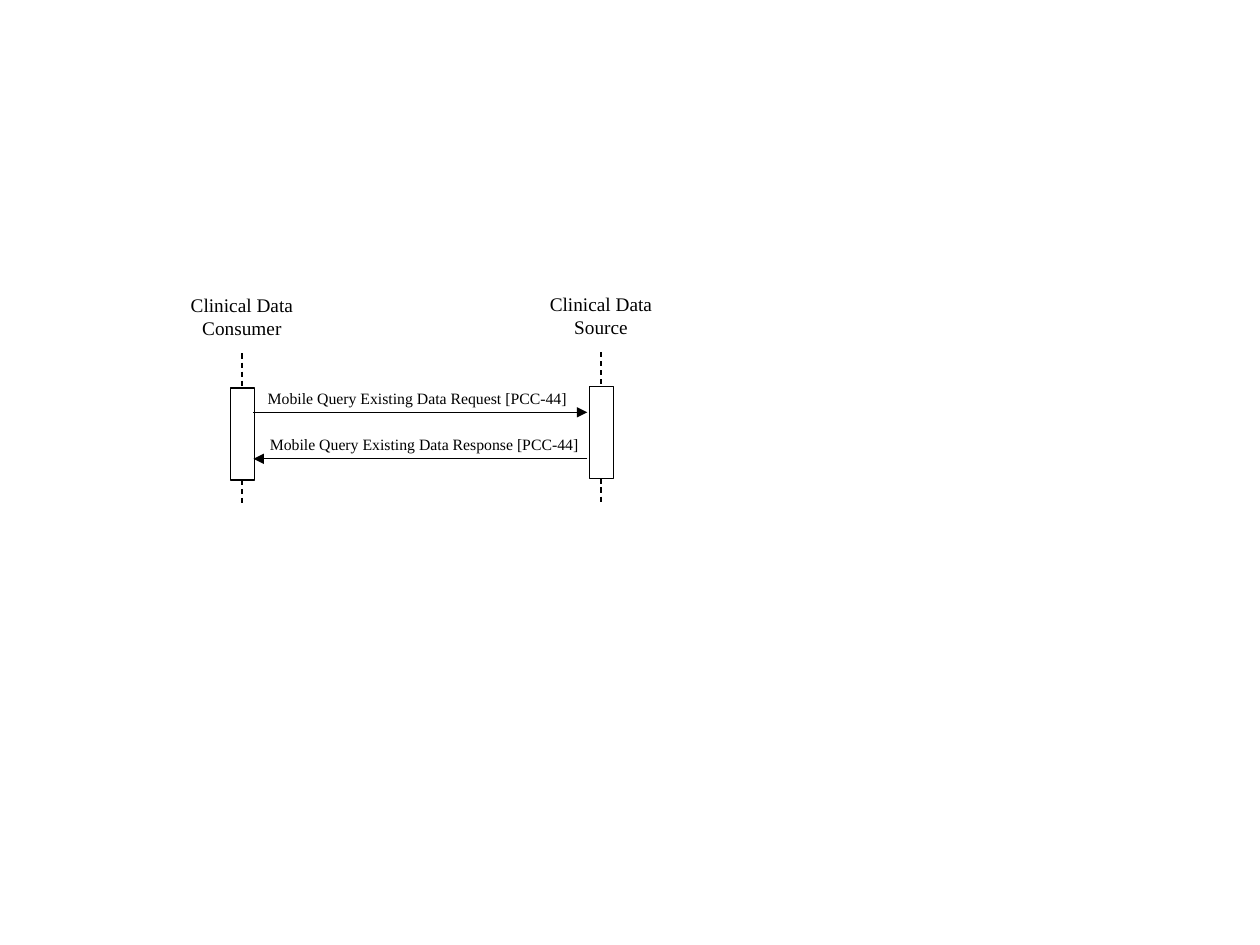
from pptx import Presentation
from pptx.dml.color import RGBColor
from pptx.enum.dml import MSO_LINE
from pptx.enum.shapes import MSO_CONNECTOR, MSO_SHAPE
from pptx.enum.text import PP_ALIGN
from pptx.util import Pt
from lxml.etree import SubElement
from pptx.oxml.ns import qn

FONT, INK, PAPER = "Times New Roman", "000000", "FFFFFF"

# Actors: name, lifeline x, top of label, label width
ACTORS = [
    ("Clinical Data Consumer", 138.24, 164.2, 85),
    ("Clinical Data Source", 343.44, 163.4, 95),
]
# Messages: text, from x, to x, arrow y, label top, label width, label height
LEFT, RIGHT = 144.8, 335.6
MESSAGES = [
    ("Mobile Query Existing Data Request [PCC-44]",
     LEFT, RIGHT, 235.6, 220.3, 177.1, 15.8),
    ("Mobile Query Existing Data Response [PCC-44]",
     RIGHT, LEFT, 262.2, 247, 185, 13),
]
LABEL_X = 149.8
BAR_W, BAR_H = 13.7, 52.6

deck = Presentation()
deck.slide_width, deck.slide_height = Pt(720), Pt(540)
slide = deck.slides.add_slide(deck.slide_layouts[6])
shapes = slide.shapes


def color(code):
    return RGBColor.from_string(code)


def text(words, x, y, w, h, size=9, inset=(0, 0), before=None, spacing=None):
    box = shapes.add_textbox(Pt(x), Pt(y), Pt(w), Pt(h))
    frame = box.text_frame
    frame.word_wrap = True
    frame.margin_left = frame.margin_right = Pt(inset[0])
    frame.margin_top = frame.margin_bottom = Pt(inset[1])
    para = frame.paragraphs[0]
    para.alignment = PP_ALIGN.CENTER
    if before is not None:
        para.space_before = Pt(before)
    if spacing is not None:
        para.line_spacing = spacing
    run = para.add_run()
    run.text = words
    run.font.name, run.font.size = FONT, Pt(size)
    run.font.color.rgb = color(INK)


def line(x1, y1, x2, y2, dash=False, arrow=False):
    link = shapes.add_connector(
        MSO_CONNECTOR.STRAIGHT, Pt(x1), Pt(y1), Pt(x2), Pt(y2))
    link.line.color.rgb = color(INK)
    link.line.width = Pt(0.75)
    if dash:
        link.line.dash_style = MSO_LINE.DASH
    if arrow:
        SubElement(link.line._get_or_add_ln(), qn("a:tailEnd"), type="triangle")
    SubElement(link._element.spPr, qn("a:effectLst"))


# Actors with lifeline and activation bar
for name, x, top, width in ACTORS:
    text(name, x - width / 2, top, width, 31.7,
         size=11, inset=(7.2, 3.6), before=6)
    line(x, top + 37.8, x, top + 125, dash=True)
    bar = shapes.add_shape(MSO_SHAPE.RECTANGLE, Pt(x - BAR_W / 2 + 0.2),
                           Pt(top + 57.6), Pt(BAR_W), Pt(BAR_H))
    bar.shadow.inherit = False
    bar.fill.solid()
    bar.fill.fore_color.rgb = color(PAPER)
    bar.line.color.rgb = color(INK)
    bar.line.width = Pt(0.75)

# Messages between the bars
for words, start, end, y, top, width, height in MESSAGES:
    line(start, y, end, y, arrow=True)
    text(words, LABEL_X, top, width, height, spacing=1.15)

deck.save("out.pptx")
